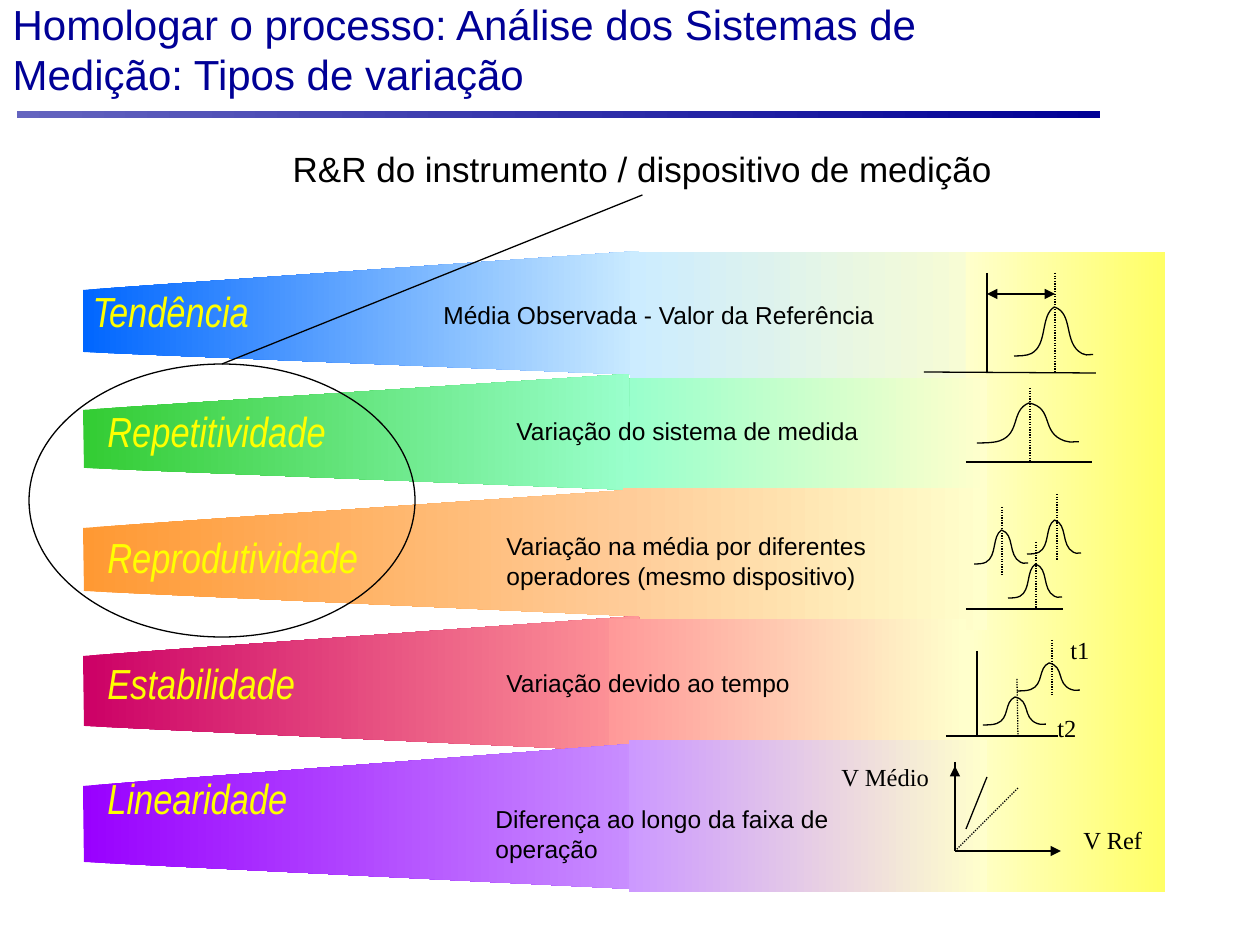
"""Build a slide on the five kinds of variation in measurement systems."""
from lxml.etree import SubElement as Sub
from pptx import Presentation
from pptx.dml.color import RGBColor as RGB
from pptx.enum.dml import MSO_LINE as Dash
from pptx.enum.shapes import MSO_CONNECTOR as Link, MSO_SHAPE as Form
from pptx.enum.text import MSO_ANCHOR as Anchor, MSO_AUTO_SIZE as Fit, PP_ALIGN as Align
from pptx.oxml.ns import qn
from pptx.util import Emu, Pt

SCALE = 914400 / 126
NAVY, BLACK, YELLOW, CREAM = "000096", "000000", "FFFF00", "FFFFCC"
TITLE = "Homologar o processo: Análise dos Sistemas de Medição: Tipos de variação"
SCOPE = "R&R do instrumento / dispositivo de medição"
BANDS = [
    dict(name="Tendência", tints=("0066FF", "CCECFF"),
         wedge=[(639, 251), (83, 290), (83, 352), (641, 375)],
         panel=(630, 252, 399, 126), label=(80, 279, 295, 97),
         note="Média Observada - Valor da Referência", place=(431, 294, 483, 42)),
    dict(name="Repetitividade", tints=("33CC33", "99FFCC"),
         wedge=[(629, 374), (83, 410), (84, 468), (630, 490)],
         panel=(630, 378, 357, 116), label=(95, 399, 346, 84),
         note="Variação do sistema de medida", place=(504, 410, 388, 42)),
    dict(name="Reprodutividade", tints=("FF9933", "FFCC99"),
         wedge=[(629, 490), (83, 528), (84, 591), (630, 616)],
         panel=(623, 488, 364, 142), label=(95, 525, 388, 84),
         note="Variação na média por diferentes operadores (mesmo dispositivo)",
         place=(494, 525, 410, 72)),
    dict(name="Estabilidade", tints=("CC0066", "FF9999"),
         wedge=[(639, 616), (83, 656), (84, 726), (641, 752)],
         panel=(609, 619, 357, 137), label=(95, 651, 388, 84),
         note="Variação devido ao tempo", place=(494, 662, 410, 42)),
    dict(name="Linearidade", tints=("9900FF", "CC99FF"),
         wedge=[(670, 741), (83, 786), (84, 862), (673, 891)],
         panel=(629, 740, 358, 152), label=(95, 766, 388, 84),
         note="Diferença ao longo da faixa de operação", place=(483, 798, 410, 72)),
]
SOLID = [(924, 372, 1096, 373), (987, 273, 987, 373), (966, 462, 1092, 462),
         (966, 609, 1063, 609), (946, 736, 1058, 736), (977, 651, 977, 736),
         (955, 762, 955, 848), (987, 777, 966, 829)]
DOTTED = [(1055, 273, 1055, 373), (1030, 388, 1030, 462), (1036, 542, 1036, 609),
          (1002, 507, 1002, 575), (1057, 494, 1057, 561), (1017, 679, 1018, 736),
          (1052, 640, 1052, 696), (955, 851, 1018, 788)]
ARROWS = [((987, 294, 1055, 294), ("headEnd", "tailEnd")),
          ((955, 851, 955, 766), ("tailEnd",)), ((955, 851, 1061, 851), ("tailEnd",))]
BELLS = [(1014, 307, 79, 49), (977, 403, 102, 40), (1008, 564, 54, 34), (974, 530, 54, 34),
         (1027, 520, 54, 34), (983, 697, 63, 28), (1017, 663, 63, 28)]
CURVE = [(0, 1), (.06, 1), (.16, 1), (.22, .95), (.43, .77), (.33, .18), (.51, 0),
         (.76, .13), (.62, .74), (.86, .95), (.9, 1), (.92, .97), (1, .97)]
MARKS = [("t1", (1058, 629, 49, 42)), ("t2", (1045, 707, 49, 42)),
         ("V Ref", (1071, 819, 101, 42)), ("V Médio", (829, 756, 132, 42))]


def px(*vals):
    """Turn pixels into EMU."""
    return [Emu(round(v * SCALE)) for v in vals]


def tint(hexa):
    """Turn a hex string into a colour."""
    return RGB.from_string(hexa)


def write(box, text, size=14, face="Arial", color=BLACK, italic=False,
          align=Align.LEFT, anchor=Anchor.TOP, wrap=True):
    """Put formatted text in a box."""
    frame = box.text_frame
    frame.text = text
    frame.word_wrap, frame.auto_size, frame.vertical_anchor = wrap, Fit.NONE, anchor
    para = frame.paragraphs[0]
    props = para._p.get_or_add_pPr()
    props.set("marL", "0")
    props.set("indent", "0")
    Sub(props, qn("a:buNone"))
    para.alignment, para.space_before = align, Pt(0)
    font = para.runs[0].font
    font.size, font.name, font.italic = Pt(size), face, italic
    font.color.rgb = tint(color)
    return box


def move(shape, box):
    """Place a shape at a pixel box."""
    shape.left, shape.top, shape.width, shape.height = px(*box)
    return shape


def blend(shape, tints):
    """Fill a shape with a gradient from left to right."""
    shape.shadow.inherit = False
    shape.line.fill.background()
    shape.fill.gradient()
    shape.fill.gradient_angle = 0
    for stop, hexa, pos in zip(shape.fill.gradient_stops, tints, (0, 1)):
        stop.color.rgb, stop.position = tint(hexa), pos
    return shape


def trace(shapes, points, close):
    """Draw an outline through pixel points."""
    spots = [px(*p) for p in points]
    pen = shapes.build_freeform(*spots[0])
    pen.add_line_segments(spots[1:], close=close)
    shape = pen.convert_to_shape()
    shape.shadow.inherit = False
    return shape


def ink(shape, dash=None):
    """Give a shape a thin black line."""
    shape.line.color.rgb, shape.line.width = tint(BLACK), Pt(.75)
    if dash:
        shape.line.dash_style = dash


def join(shapes, ends, dash=None, heads=()):
    """Draw a straight connector."""
    line = shapes.add_connector(Link.STRAIGHT, *px(*ends))
    ink(line, dash)
    for head in heads:
        Sub(line.line._get_or_add_ln(), qn("a:" + head), type="triangle")
    Sub(line._element.spPr, qn("a:effectLst"))
    return line


def bell(shapes, box):
    """Draw a bell of cubic curves that fills a pixel box."""
    left, top, wide, high = box
    shape = trace(shapes, [(left + x * wide, top + y * high) for x, y in CURVE], False)
    legs = list(shape._element.iter(qn("a:lnTo")))
    route = legs[0].getparent()
    for i in range(0, len(legs), 3):
        cubic = Sub(route, qn("a:cubicBezTo"))
        for leg in legs[i:i + 3]:
            cubic.append(leg[0])
            route.remove(leg)
    shape.fill.background()
    ink(shape)


def main():
    """Build and save the slide."""
    deck = Presentation()
    deck.slide_width, deck.slide_height = px(1260, 945)
    slide = deck.slides.add_slide(deck.slide_layouts[1])
    shapes = slide.shapes
    body = slide.placeholders[1]
    write(move(shapes.title, (0, 0, 1018, 97)), TITLE, size=24, color=NAVY,
          anchor=Anchor.MIDDLE)

    def block(box, tints):
        """Add a rectangle with a gradient."""
        return blend(shapes.add_shape(Form.RECTANGLE, *px(*box)), tints)

    rule = block((17, 111, 1083, 7), ("6464BF", NAVY))._element
    rule.nvSpPr.cNvPr.set("id", "99")
    deck.slide_master.shapes._spTree.append(rule)
    for i, band in enumerate(BANDS):
        blend(trace(shapes, band["wedge"], True), band["tints"])
        block(band["panel"], (band["tints"][1], CREAM))
        if i == 0:
            block((966, 252, 199, 640), (CREAM, "FFFF66"))
            shapes._spTree.append(body._element)
            label = move(body, band["label"])
        else:
            label = shapes.add_textbox(*px(*band["label"]))
        write(label, band["name"], size=24, face="Arial Narrow", color=YELLOW, italic=True)
        write(shapes.add_textbox(*px(*band["place"])), band["note"])

    for ends in SOLID:
        join(shapes, ends)
    for ends in DOTTED:
        join(shapes, ends, Dash.ROUND_DOT)
    for ends, heads in ARROWS:
        join(shapes, ends, heads=heads)
    for box in BELLS:
        bell(shapes, box)
    for text, box in MARKS:
        write(shapes.add_textbox(*px(*box)), text, face="Times New Roman")

    scope = write(shapes.add_textbox(*px(276, 141, 733, 54)), SCOPE, size=20,
                  align=Align.CENTER, wrap=False)
    ring = shapes.add_shape(Form.OVAL, *px(29, 364, 386, 273))
    ring.shadow.inherit = False
    ring.fill.background()
    ink(ring)
    link = join(shapes, (223, 364, 643, 197))
    link.begin_connect(ring, 0)
    link.end_connect(scope, 2)
    deck.save("out.pptx")


if __name__ == "__main__":
    main()
